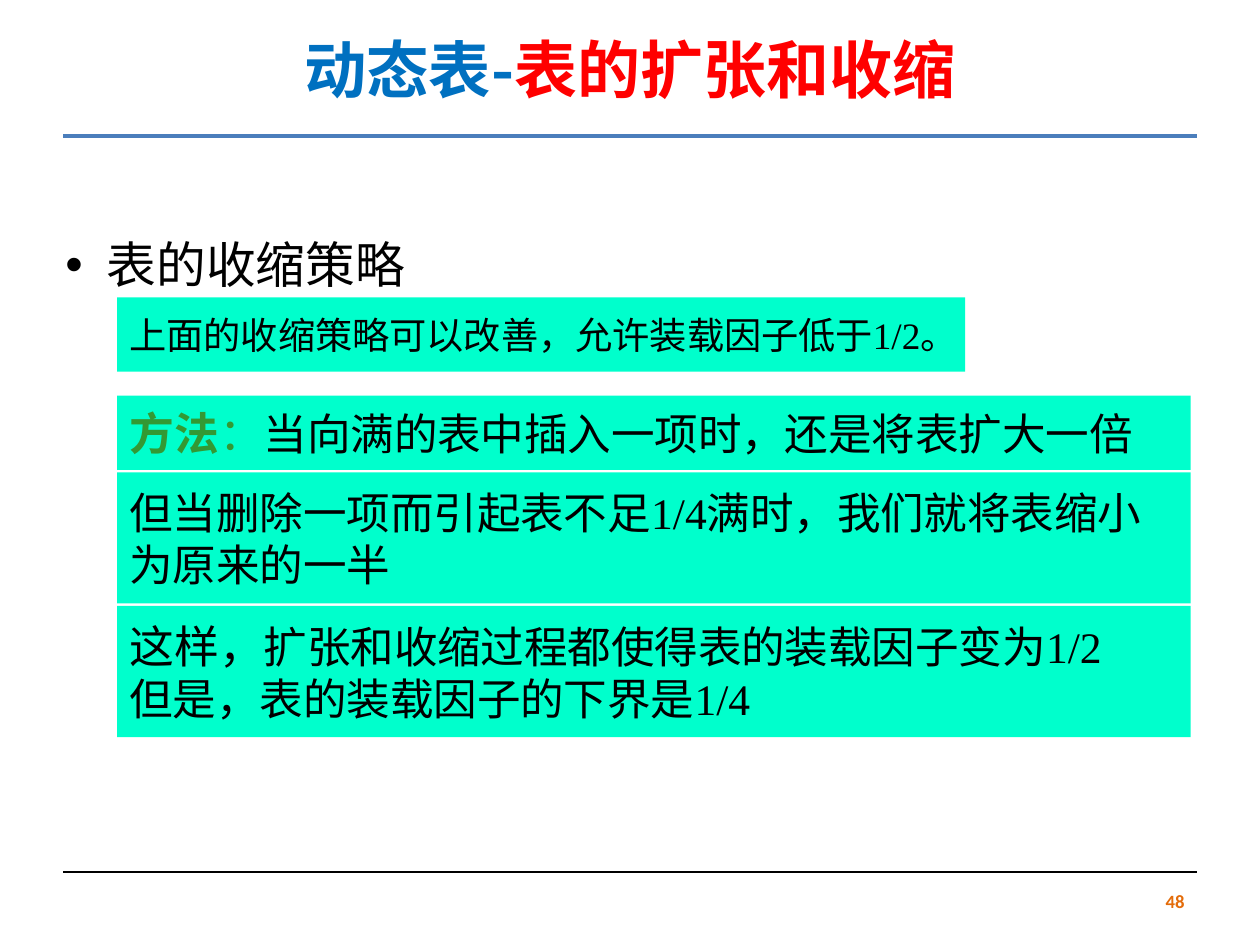
"""Build the slide on growing and shrinking a dynamic table."""
from lxml.etree import SubElement
from pptx import Presentation
from pptx.dml.color import RGBColor
from pptx.enum.shapes import MSO_CONNECTOR, MSO_SHAPE
from pptx.enum.text import MSO_ANCHOR, PP_ALIGN
from pptx.oxml.ns import qn
from pptx.util import Inches, Pt

BLACK = RGBColor(0x00, 0x00, 0x00)
BLUE = RGBColor(0x00, 0x70, 0xC0)
RED = RGBColor(0xFF, 0x00, 0x00)
GREEN = RGBColor(0x33, 0x99, 0x33)
MINT = RGBColor(0x00, 0xFF, 0xCC)
RULE = RGBColor(0x4B, 0x7E, 0xBC)
ORANGE = RGBColor(0xE4, 0x6C, 0x0A)
SANS, SERIF, PLAIN = "Noto Sans CJK SC", "Times New Roman", "Calibri"


def add_run(para, text, size, face, color=BLACK, bold=False):
    run = para.add_run()
    run.text = text
    font = run.font
    font.size, font.name, font.bold = Pt(size), face, bold
    font.color.rgb = color
    SubElement(run._r.get_or_add_rPr(), qn("a:ea")).set("typeface", SANS)


deck = Presentation()
deck.slide_width, deck.slide_height = Inches(10), Inches(7.5)
slide = deck.slides.add_slide(deck.slide_layouts[5])
shapes = slide.shapes
side, wide = Inches(0.5), Inches(9)

for top, color, width in [(1.08, RULE, 2.75), (6.92, BLACK, 0.75)]:
    line = shapes.add_connector(
        MSO_CONNECTOR.STRAIGHT, side, Inches(top), side + wide, Inches(top))
    line.line.color.rgb = color
    line.line.width = Pt(width)
    SubElement(line._element.spPr, qn("a:effectLst"))

title = shapes.title
title.left, title.top, title.width, title.height = side, 0, wide, Inches(1.09)
title.text_frame.vertical_anchor = MSO_ANCHOR.MIDDLE
para = title.text_frame.paragraphs[0]
para.alignment = PP_ALIGN.CENTER
add_run(para, "动态表-", 35.6, SANS, BLUE, True)
add_run(para, "表的扩张和收缩", 36, SANS, RED, True)

body = shapes.add_textbox(Inches(0.42), Inches(1.69), wide, Inches(4.73))
body.text_frame.word_wrap = True
para = body.text_frame.paragraphs[0]
para.alignment = PP_ALIGN.JUSTIFY
para.line_spacing, para.space_before = 1.25, Pt(5.7)
props = para._p.get_or_add_pPr()
props.set("marL", str(Inches(0.33)))
props.set("indent", str(-Inches(0.33)))
SubElement(props, qn("a:buFont")).set("typeface", "Arial")
SubElement(props, qn("a:buChar")).set("char", "•")
add_run(para, "表的收缩策略", 28.4, PLAIN)

panels = [
    (2.36, 6.73, 0.59, [
        [("上面的收缩策略可以改善，", 21.3, SERIF),
         ("允许装载因子低于", 21.3, SANS), ("1/2。", 21.3, SERIF)]]),
    (3.14, 8.52, 0.59, [
        [("方法", 25.6, SANS, GREEN, True), ("：", 25.6, SANS, GREEN),
         ("当向满的表中插入一项时，还是将表扩大一倍", 24.9, SANS)]]),
    (3.75, 8.52, 1.04, [
        [("但当删除一项而引起表不足", 24.9, SANS), ("1/4", 24.9, SERIF),
         ("满时，我们就将表缩小", 24.9, SANS)],
        [("为原来的一半", 24.9, SANS)]]),
    (4.81, 8.52, 1.04, [
        [("这样，", 25.6, SERIF),
         ("扩张和收缩过程都使得表的装载因子变为1/2", 24.9, SERIF)],
        [("但是，表的装载因子的下界是1/4", 24.9, SERIF)]]),
]
for top, width, height, rows in panels:
    panel = shapes.add_shape(
        MSO_SHAPE.RECTANGLE, Inches(0.93), Inches(top), Inches(width), Inches(height))
    panel.shadow.inherit = False
    panel.fill.solid()
    panel.fill.fore_color.rgb = MINT
    panel.line.fill.background()
    frame = panel.text_frame
    frame.word_wrap = False
    frame.vertical_anchor = MSO_ANCHOR.MIDDLE
    for i, row in enumerate(rows):
        para = frame.add_paragraph() if i else frame.paragraphs[0]
        para.alignment = PP_ALIGN.JUSTIFY
        for part in row:
            add_run(para, *part)

page = shapes.add_textbox(Inches(7.17), Inches(6.95), Inches(2.33), Inches(0.4))
page.text_frame.word_wrap = True
page.text_frame.vertical_anchor = MSO_ANCHOR.MIDDLE
para = page.text_frame.paragraphs[0]
para.alignment = PP_ALIGN.RIGHT
add_run(para, "48", 10.7, PLAIN, ORANGE, True)

deck.save("out.pptx")
